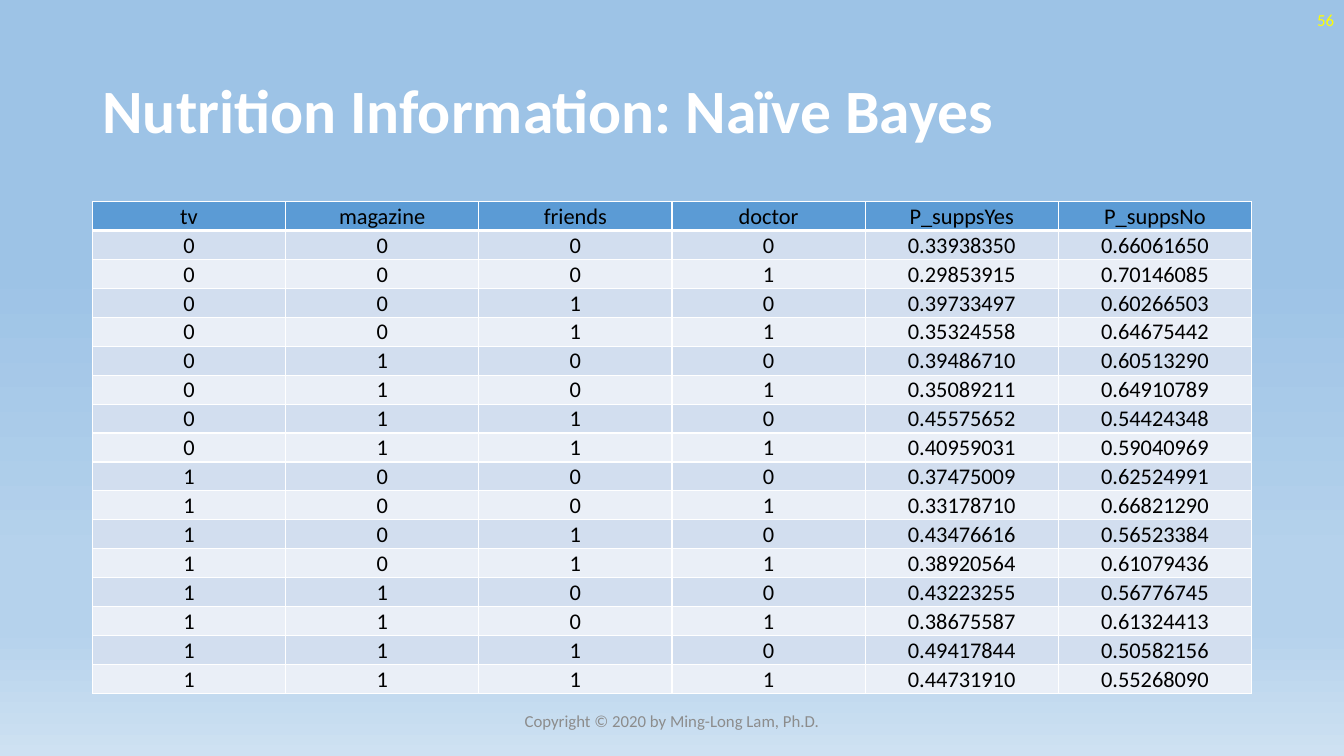
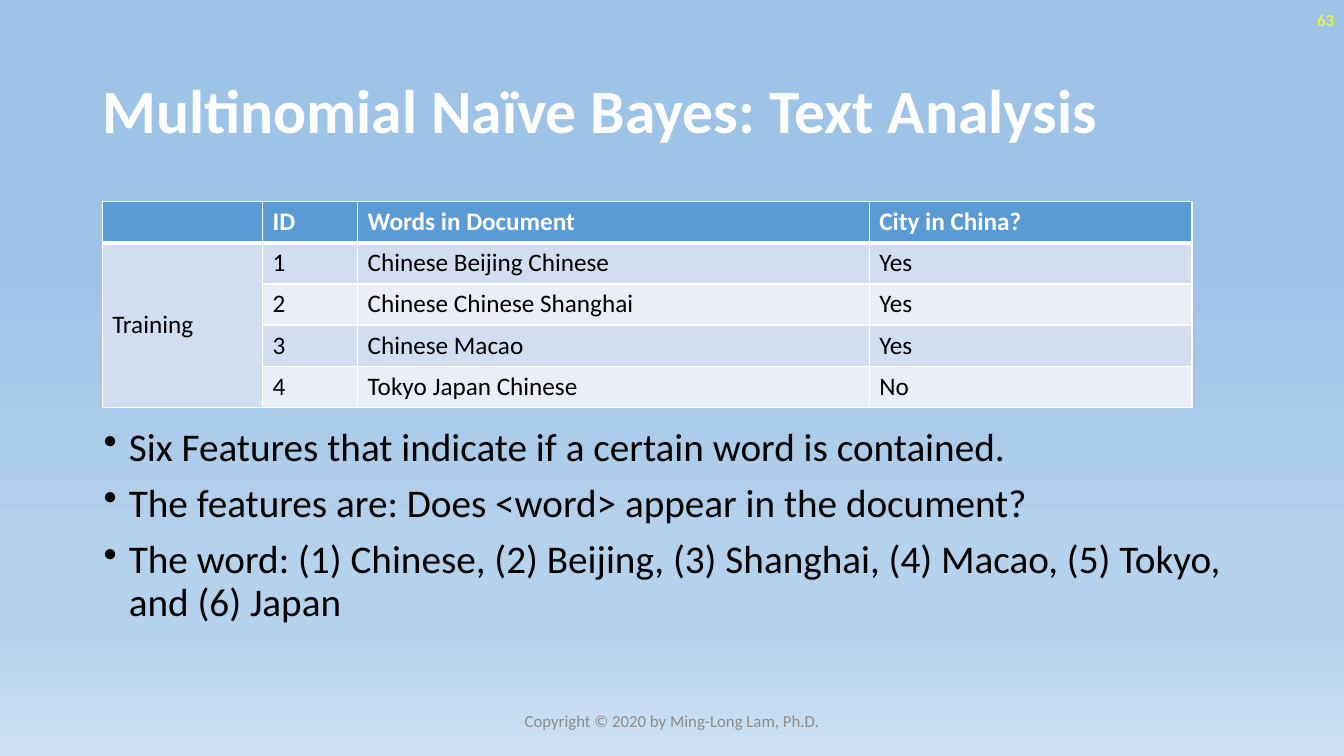
import itertools

import lxml.etree
import pptx
import pptx.dml.color
import pptx.enum.text
import pptx.oxml.ns
import pptx.util

Pt = pptx.util.Pt
qn = pptx.oxml.ns.qn
ALIGN = pptx.enum.text.PP_ALIGN
ANCHOR = pptx.enum.text.MSO_ANCHOR

FONT = "Calibri"
COLORS = {
    "white": "FFFFFF",
    "black": "000000",
    "yellow": "FFFF00",
    "gray": "8C8C8C",
    "head": "5B9BD5",
    "odd": "D2DEEF",
    "even": "EAEFF7",
    "sky": "9DC3E6",
    "haze": "B5D2EC",
    "mist": "CEE1F2",
}
STOPS = [(35, "sky"), (74, "haze"), (83, "haze"), (100, "mist")]
LEFT, WIDTH = 66, 828
TABLE_TOP = 144

# Chance of "yes" for each mix of tv, magazine, friends and doctor
YES_ODDS = [
    0.33938350, 0.29853915, 0.39733497, 0.35324558,
    0.39486710, 0.35089211, 0.45575652, 0.40959031,
    0.37475009, 0.33178710, 0.43476616, 0.38920564,
    0.43223255, 0.38675587, 0.49417844, 0.44731910,
]
TRAINING = [
    ["", "ID", "Words in Document", "City in China?"],
    ["Training", "1", "Chinese Beijing Chinese", "Yes"],
    ["", "2", "Chinese Chinese Shanghai", "Yes"],
    ["", "3", "Chinese Macao", "Yes"],
    ["", "4", "Tokyo Japan Chinese", "No"],
]
POINTS = [
    "Six Features that indicate if a certain word is contained.",
    "The features are: Does <word> appear in the document?",
    "The word: (1) Chinese, (2) Beijing, (3) Shanghai, (4) Macao, (5) Tokyo, and (6) Japan",
]


def write(frame, *lines, size, color="black", bold=False, align=ALIGN.LEFT,
          spacing=None, gap=0, bullet=False):
    """Fill a text frame with one paragraph per line."""
    for i, line in enumerate(lines):
        para = frame.add_paragraph() if i else frame.paragraphs[0]
        if bullet:
            props = para._p.get_or_add_pPr()
            props.set("marL", str(Pt(18)))
            props.set("indent", str(-Pt(18)))
            lxml.etree.SubElement(props, qn("a:buChar")).set("char", "•")
        para.alignment = align
        para.line_spacing = spacing
        para.space_before = Pt(gap if i else 0)
        run = para.add_run()
        run.text = line
        run.font.name = FONT
        run.font.size = Pt(size)
        run.font.bold = bold
        run.font.color.rgb = pptx.dml.color.RGBColor.from_string(COLORS[color])


def add_text(slide, place, *lines, anchor=ANCHOR.MIDDLE, **style):
    frame = slide.shapes.add_textbox(*map(Pt, place)).text_frame
    frame.word_wrap = True
    frame.vertical_anchor = anchor
    write(frame, *lines, **style)


def set_backdrop(master):
    """Give every slide the same vertical gradient."""
    fill = master.background.fill
    fill.gradient()
    fill.gradient_angle = 270
    stops = next(master.element.iter(qn("a:gsLst")))
    stops.clear()
    for percent, color in STOPS:
        stop = lxml.etree.SubElement(stops, qn("a:gs"), pos=str(percent * 1000))
        lxml.etree.SubElement(stop, qn("a:srgbClr"), val=COLORS[color])


def add_slide(deck, title, number):
    slide = deck.slides.add_slide(deck.slide_layouts[5])
    head = slide.shapes.title
    head.left, head.top, head.width, head.height = map(Pt, (LEFT, 28.8, WIDTH, 104.4))
    frame = head.text_frame
    frame.auto_size = pptx.enum.text.MSO_AUTO_SIZE.NONE
    frame.vertical_anchor = ANCHOR.MIDDLE
    write(frame, title, size=44, color="white", bold=True, spacing=0.9)
    add_text(slide, (744, 0, 216, 28.8), str(number),
             size=12, color="yellow", align=ALIGN.RIGHT)
    add_text(slide, (318, 500.4, 324, 28.8), "Copyright © 2020 by Ming-Long Lam, Ph.D.",
             size=12, color="gray", align=ALIGN.CENTER)
    return slide


def set_borders(cell, row):
    """Draw white cell edges, with a thick one below the header row."""
    props = cell._tc.get_or_add_tcPr()
    widths = {"L": 1, "R": 1, "T": 3 if row == 1 else 1, "B": 3 if row == 0 else 1}
    for i, (side, width) in enumerate(widths.items()):
        line = lxml.etree.Element(qn("a:ln" + side), w=str(Pt(width)))
        fill = lxml.etree.SubElement(line, qn("a:solidFill"))
        lxml.etree.SubElement(fill, qn("a:srgbClr"), val=COLORS["white"])
        props.insert(i, line)


def add_table(slide, rows, left, widths, height, margins=None,
              anchor=ANCHOR.TOP, head=None, **style):
    """Add a banded table; head holds the format changes for its first row."""
    table = slide.shapes.add_table(
        len(rows), len(widths), Pt(left), Pt(TABLE_TOP),
        Pt(sum(widths)), Pt(height * len(rows))).table
    for column, width in zip(table.columns, widths):
        column.width = Pt(width)
    for r, values in enumerate(rows):
        table.rows[r].height = Pt(height)
        band = "head" if r == 0 else ("even", "odd")[r % 2]
        for c, value in enumerate(values):
            cell = table.cell(r, c)
            cell.fill.solid()
            cell.fill.fore_color.rgb = pptx.dml.color.RGBColor.from_string(COLORS[band])
            cell.vertical_anchor = anchor
            if margins:
                (cell.margin_left, cell.margin_top,
                 cell.margin_right, cell.margin_bottom) = map(Pt, margins)
            set_borders(cell, r)
            if value:
                changes = head if head and r == 0 else {}
                write(cell.text_frame, value, **{**style, **changes})
    return table


def add_odds(deck):
    slide = add_slide(deck, "Nutrition Information: Naïve Bayes", 56)
    rows = [["tv", "magazine", "friends", "doctor", "P_suppsYes", "P_suppsNo"]]
    for flags, yes in zip(itertools.product("01", repeat=4), YES_ODDS):
        rows.append([*flags, f"{yes:.8f}", f"{1 - yes:.8f}"])
    add_table(slide, rows, LEFT, [WIDTH / 6] * 6, 20.67, margins=(0.7, 0.7, 0.7, 0),
              anchor=ANCHOR.MIDDLE, size=16, align=ALIGN.CENTER)


def add_words(deck):
    slide = add_slide(deck, "Multinomial Naïve Bayes: Text Analysis", 63)
    add_text(slide, (67, 301.7, 816.5, 184.3), *POINTS, anchor=ANCHOR.TOP,
             size=28, spacing=0.9, gap=10, bullet=True)
    table = add_table(slide, TRAINING, 73, [114.5, 68, 365.5, 230.5], 29.4,
                      head={"color": "white", "bold": True}, size=18)
    label = table.cell(1, 0)
    label.merge(table.cell(4, 0))
    label.vertical_anchor = ANCHOR.MIDDLE


def main():
    deck = pptx.Presentation()
    deck.slide_width, deck.slide_height = Pt(960), Pt(540)
    set_backdrop(deck.slide_master)
    add_odds(deck)
    add_words(deck)
    deck.save("out.pptx")


if __name__ == "__main__":
    main()
